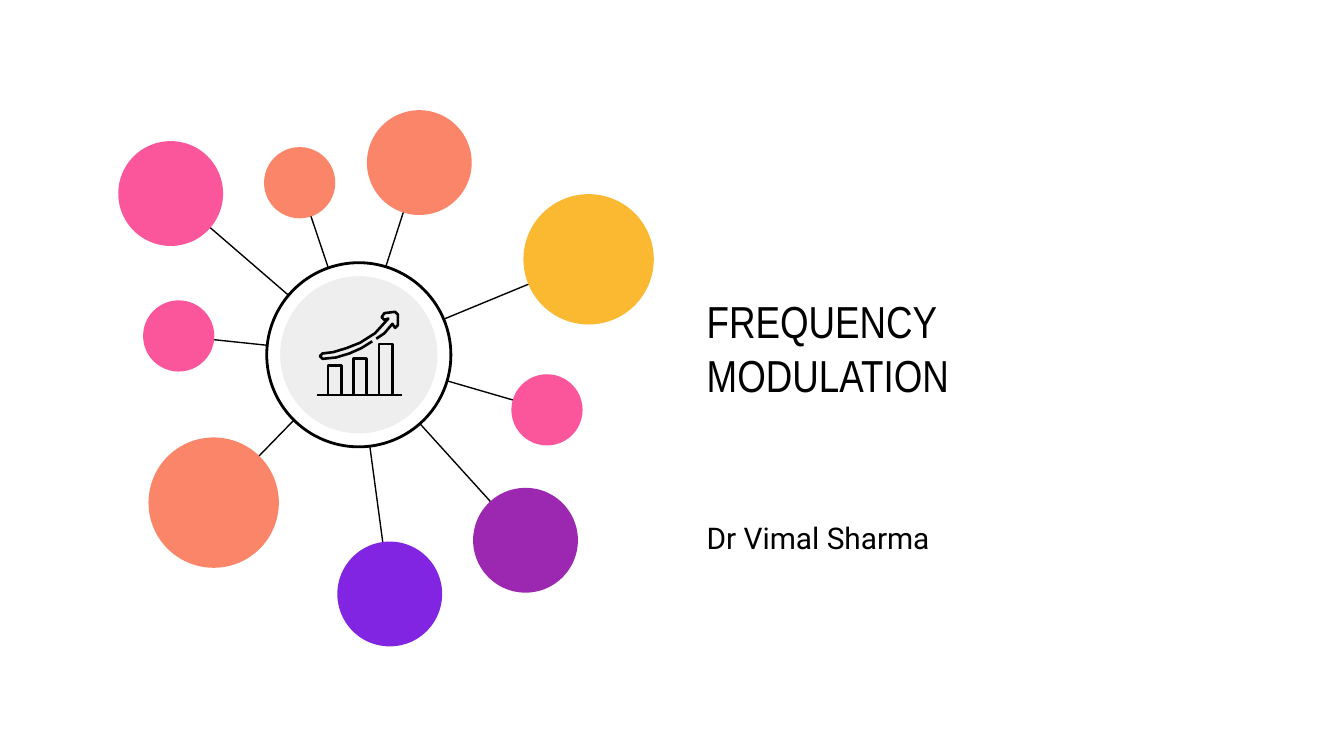
"""Build a title slide with a hub of coloured bubbles around a growth icon."""
from lxml import etree
from pptx import Presentation
from pptx.dml.color import RGBColor
from pptx.enum.shapes import MSO_CONNECTOR, MSO_SHAPE
from pptx.enum.text import MSO_ANCHOR
from pptx.oxml.ns import qn
from pptx.util import Inches, Pt

OVAL, RECT = MSO_SHAPE.OVAL, MSO_SHAPE.RECTANGLE
STRAIGHT = MSO_CONNECTOR.STRAIGHT
MIDDLE = MSO_ANCHOR.MIDDLE
BLACK = RGBColor(0x00, 0x00, 0x00)
WHITE = RGBColor(0xFF, 0xFF, 0xFF)
GREY = RGBColor(0xEE, 0xEE, 0xEE)
YELLOW = RGBColor(0xFB, 0xB8, 0x31)
CORAL = RGBColor(0xFB, 0x85, 0x69)
PINK = RGBColor(0xFB, 0x56, 0x9C)
PURPLE = RGBColor(0x9C, 0x27, 0xB0)
VIOLET = RGBColor(0x82, 0x25, 0xE2)

SLIDE_WIDTH = Inches(10)
SLIDE_HEIGHT = SLIDE_WIDTH * 9 // 16
TITLE = "FREQUENCY MODULATION"
AUTHOR = "Dr Vimal Sharma"
HUB = (2.67, 2.64)
SPOKE_END = (2.66, 2.64)
RING, DISC = 1.37, 1.17
LARGE, MEDIUM, SMALL = 0.97, 0.78, 0.53
BUBBLES = [
    (4.38, 1.93, LARGE, YELLOW),
    (1.59, 3.74, LARGE, CORAL),
    (3.12, 1.21, MEDIUM, CORAL),
    (1.27, 1.44, MEDIUM, PINK),
    (3.91, 4.02, MEDIUM, PURPLE),
    (2.9, 4.42, MEDIUM, VIOLET),
    (1.33, 2.5, SMALL, PINK),
    (4.07, 3.05, SMALL, PINK),
    (2.23, 1.36, SMALL, CORAL),
]
BASELINE = 2.94
BARS = [(2.44, 2.72), (2.63, 2.67), (2.82, 2.56)]
BAR_WIDTH = 0.1
ICON_LINE = 1.4
ARROW = [
    (2.77, 2.54), (2.69, 2.59), (2.6, 2.63), (2.5, 2.66), (2.4, 2.67),
    (2.38, 2.65), (2.4, 2.63), (2.48, 2.62), (2.58, 2.59), (2.68, 2.55),
    (2.79, 2.48), (2.89, 2.37), (2.86, 2.38), (2.84, 2.36), (2.86, 2.33),
    (2.94, 2.32), (2.96, 2.34), (2.96, 2.42), (2.94, 2.44), (2.92, 2.41),
    (2.86, 2.48), (2.8, 2.52),
]


def style(sp, fill=None, line=None):
    sp.shadow.inherit = False
    if fill is None:
        sp.fill.background()
    else:
        sp.fill.solid()
        sp.fill.fore_color.rgb = fill
    if line is None:
        sp.line.fill.background()
    else:
        sp.line.color.rgb = BLACK
        sp.line.width = Pt(line)


def add_circle(s, x, y, size, fill, line=None):
    sp = s.shapes.add_shape(OVAL, Inches(x - size / 2), Inches(y - size / 2),
                            Inches(size), Inches(size))
    style(sp, fill, line)


def add_line(s, start, end, width):
    c = s.shapes.add_connector(STRAIGHT, *map(Inches, start + end))
    c.line.color.rgb = BLACK
    c.line.width = Pt(width)
    etree.SubElement(c._element.spPr, qn("a:effectLst"))


def add_text(s, text, box, size, font, color=BLACK):
    tf = s.shapes.add_textbox(*map(Inches, box)).text_frame
    tf.word_wrap = True
    tf.vertical_anchor = MIDDLE
    tf.margin_left = tf.margin_right = Inches(0.1)
    tf.margin_top = tf.margin_bottom = Inches(0.1)
    r = tf.paragraphs[0].add_run()
    r.text = text
    r.font.size = Pt(size)
    r.font.name = font
    r.font.color.rgb = color


def add_icon(s):
    for x, top in BARS:
        sp = s.shapes.add_shape(RECT, Inches(x), Inches(top),
                                Inches(BAR_WIDTH), Inches(BASELINE - top))
        style(sp, line=ICON_LINE)
    add_line(s, (2.36, BASELINE), (2.99, BASELINE), ICON_LINE)
    points = [(Inches(x), Inches(y)) for x, y in ARROW]
    builder = s.shapes.build_freeform(*points[0])
    builder.add_line_segments(points[1:], close=False)
    style(builder.convert_to_shape(), line=ICON_LINE)


def main():
    prs = Presentation()
    prs.slide_width, prs.slide_height = SLIDE_WIDTH, SLIDE_HEIGHT
    s = prs.slides.add_slide(prs.slide_layouts[6])
    add_text(s, TITLE, (5.16, 1.4, 3.75, 2.37), 24, "Arial Narrow")
    add_text(s, AUTHOR, (5.16, 3.77, 4.31, 0.46), 16, "Roboto")
    for x, y, size, color in BUBBLES:
        add_line(s, (x, y), SPOKE_END, 0.75)
        add_circle(s, x, y, size, color)
    add_circle(s, *HUB, RING, WHITE, 1.5)
    add_circle(s, *HUB, DISC, GREY)
    add_icon(s)
    prs.save("out.pptx")


if __name__ == "__main__":
    main()
